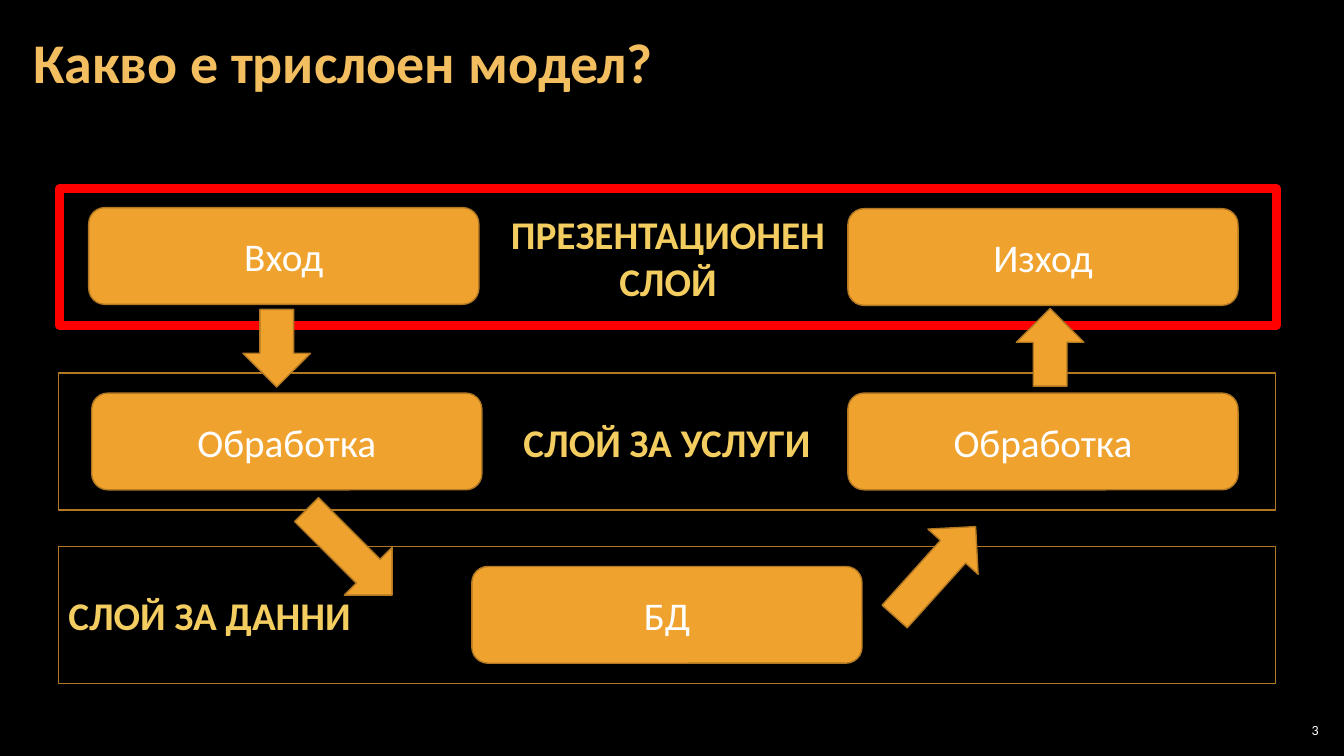
from pptx import Presentation
from pptx.dml.color import RGBColor
from pptx.enum import shapes, text
from pptx.util import Inches, Pt

BLACK = RGBColor(0x00, 0x00, 0x00)
WHITE = RGBColor(0xFF, 0xFF, 0xFF)
RED = RGBColor(0xFF, 0x00, 0x00)
AMBER = RGBColor(0xF0, 0xA2, 0x2E)
BROWN = RGBColor(0xB2, 0x78, 0x22)
SAND = RGBColor(0xF3, 0xBE, 0x60)
GOLD = RGBColor(0xF3, 0xCD, 0x60)
FONT = "Calibri"
LEFT, MID = text.PP_ALIGN.LEFT, text.PP_ALIGN.CENTER
KIND = shapes.MSO_SHAPE

# Content
TITLE = "Какво е трислоен модел?"
NUMBER = "3"
BAND = (12.07, 1.36)
STEP = (3.87, 0.96)
# Each layer: lines, left, top, align, line colour, line width, steps (name, left, top)
LAYERS = [
    (["ПРЕЗЕНТАЦИОНЕН", "СЛОЙ"], 0.59, 1.87, MID, RED, 6,
     [("Вход", 0.88, 2.06), ("Изход", 8.41, 2.07)]),
    (["СЛОЙ ЗА УСЛУГИ"], 0.58, 3.7, MID, BROWN, 1,
     [("Обработка", 0.91, 3.9), ("Обработка", 8.41, 3.9)]),
    (["СЛОЙ ЗА ДАННИ"], 0.58, 5.42, LEFT, BROWN, 1,
     [("БД", 4.68, 5.62)]),
]
# Each arrow: left, top, height, turn
ARROWS = [
    (2.41, 3.07, 0.77, 0),
    (3.13, 4.88, 1.2, 315),
    (8.94, 5.07, 1.2, 222),
    (10.08, 3.06, 0.77, 180),
]
ARROW_WIDTH = 0.67

deck = Presentation()
deck.slide_width, deck.slide_height = Inches(13.33), Inches(7.5)
slide = deck.slides.add_slide(deck.slide_layouts[5])
slide.background.fill.solid()
slide.background.fill.fore_color.rgb = BLACK


def write(shape, lines, size, color, bold=False, align=LEFT, pad=(0.1, 0.05)):
    frame = shape.text_frame
    frame.word_wrap = True
    frame.auto_size = text.MSO_AUTO_SIZE.NONE
    frame.vertical_anchor = text.MSO_ANCHOR.MIDDLE
    frame.margin_left = frame.margin_right = Inches(pad[0])
    frame.margin_top = frame.margin_bottom = Inches(pad[1])
    para = frame.paragraphs[0]
    para.alignment = align
    for i, line in enumerate(lines):
        if i:
            para.add_line_break()
        run = para.add_run()
        run.text = line
        run.font.name, run.font.size, run.font.bold = FONT, Pt(size), bold
        run.font.color.rgb = color
    return para


def draw(kind, left, top, width, height, fill=AMBER, line=BROWN, weight=1):
    shape = slide.shapes.add_shape(
        kind, Inches(left), Inches(top), Inches(width), Inches(height))
    shape.shadow.inherit = False
    if fill is None:
        shape.fill.background()
    else:
        shape.fill.solid()
        shape.fill.fore_color.rgb = fill
    shape.line.color.rgb = line
    shape.line.width = Pt(weight)
    return shape


# Title
title = slide.shapes.title
title.left, title.top = Inches(0.21), Inches(0.04)
title.width, title.height = Inches(12.91), Inches(1.21)
write(title, [TITLE], 40, SAND, True, pad=(0.12, 0.04)).line_spacing = 0.9

# Layers with their steps
for lines, left, top, align, color, weight, steps in LAYERS:
    band = draw(KIND.RECTANGLE, left, top, *BAND, None, color, weight)
    write(band, lines, 28, GOLD, True, align)
    for name, x, y in steps:
        step = draw(KIND.ROUNDED_RECTANGLE, x, y, *STEP)
        write(step, [name], 28, WHITE, align=MID)

# Arrows between layers
for left, top, height, turn in ARROWS:
    draw(KIND.DOWN_ARROW, left, top, ARROW_WIDTH, height).rotation = turn

# Slide number
number = slide.shapes.add_textbox(
    Inches(12.65), Inches(7.14), Inches(0.47), Inches(0.21))
write(number, [NUMBER], 10, WHITE, align=text.PP_ALIGN.RIGHT, pad=(0.04, 0.04))

deck.save("out.pptx")
